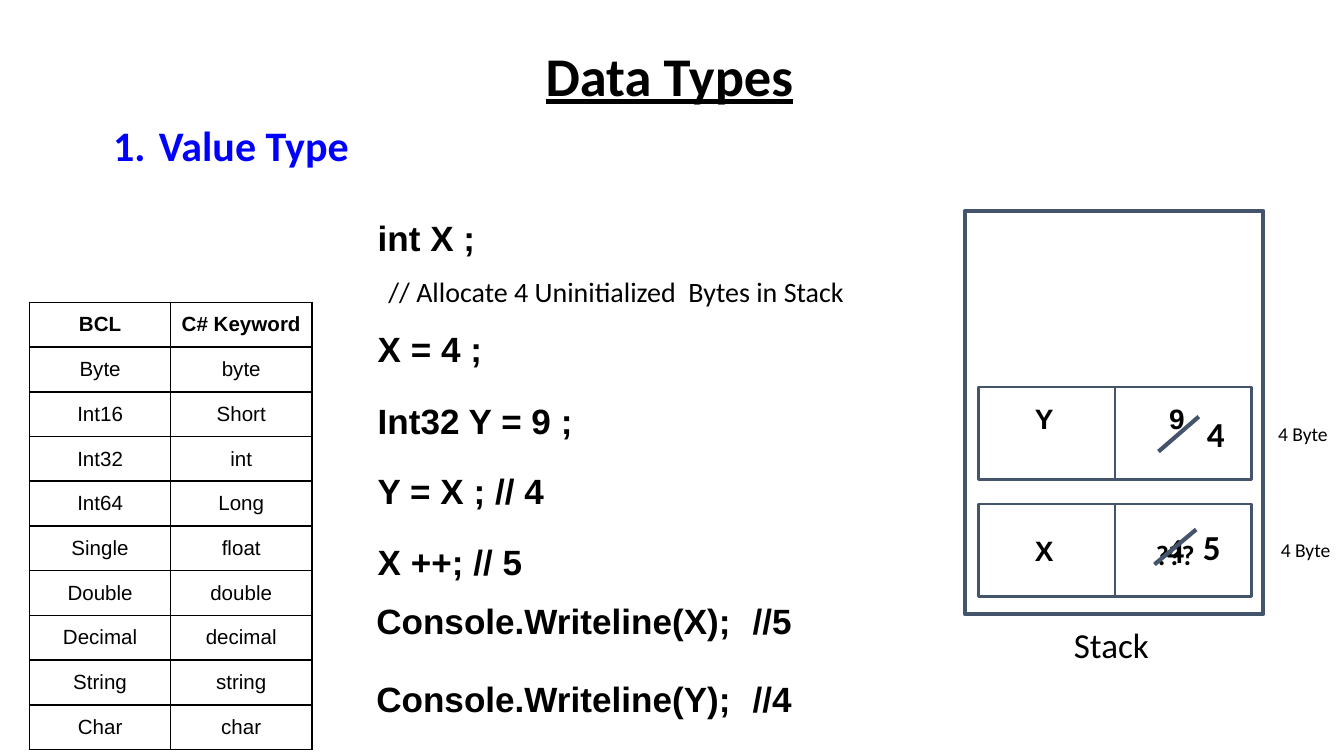
from lxml import etree
from pptx import Presentation
from pptx.dml.color import RGBColor
from pptx.enum.shapes import MSO_CONNECTOR, MSO_SHAPE
from pptx.enum.text import MSO_ANCHOR, MSO_AUTO_SIZE, PP_ALIGN
from pptx.oxml.ns import qn
from pptx.util import Inches, Pt

BLACK = RGBColor(0x00, 0x00, 0x00)
BLUE = RGBColor(0x00, 0x00, 0xFF)
SLATE = RGBColor(0x44, 0x54, 0x6A)
RECTANGLE = MSO_SHAPE.RECTANGLE
STRAIGHT = MSO_CONNECTOR.STRAIGHT
MIDDLE = MSO_ANCHOR.MIDDLE
CENTER = PP_ALIGN.CENTER
LEFT = PP_ALIGN.LEFT
FIT_TEXT = MSO_AUTO_SIZE.SHAPE_TO_FIT_TEXT
TOP_SITE, BOTTOM_SITE = 0, 2
MARGIN = 0.07
CELL_LEFT, CELL_WIDTH, CELL_HEIGHT = 7.28, 2.03, 0.69

TYPE_ROWS = [
    ("BCL", "C# Keyword"),
    ("Byte", "byte"),
    ("Int16", "Short"),
    ("Int32", "int"),
    ("Int64", "Long"),
    ("Single", "float"),
    ("Double", "double"),
    ("Decimal", "decimal"),
    ("String", "string"),
    ("Char", "char"),
]

# left, top, width, text
CODE_LINES = [
    (2.74, 1.54, 0.95, "int X ;"),
    (2.74, 2.37, 0.95, "X = 4 ;"),
    (2.74, 2.90, 1.78, "Int32 Y = 9 ;"),
    (2.74, 3.42, 1.78, "Y = X ; // 4"),
    (2.74, 3.95, 1.78, "X ++; // 5"),
    (2.73, 4.39, 2.87, "Console.Writeline(X);"),
    (2.73, 4.97, 2.93, "Console.Writeline(Y);"),
    (5.53, 4.39, 0.53, "//5"),
    (5.53, 4.97, 0.53, "//4"),
]


def add_run(paragraph, text, size, font="Calibri", bold=False, color=BLACK):
    run = paragraph.add_run()
    run.text = text
    run.font.size = Pt(size)
    run.font.name = font
    run.font.bold = bold
    run.font.color.rgb = color
    return run


def set_margins(target):
    """Give a text frame or a table cell the same margin on all sides."""
    target.margin_left = target.margin_right = Inches(MARGIN)
    target.margin_top = target.margin_bottom = Inches(MARGIN)


def add_label(slide, left, top, width, height, text, size, **style):
    """Add a one-line text box and return its run and paragraph."""
    box = slide.shapes.add_textbox(
        Inches(left), Inches(top), Inches(width), Inches(height))
    frame = box.text_frame
    frame.word_wrap = True
    frame.auto_size = FIT_TEXT
    set_margins(frame)
    paragraph = frame.paragraphs[0]
    return add_run(paragraph, text, size, **style), paragraph


def number_paragraph(paragraph):
    properties = paragraph._p.get_or_add_pPr()
    properties.set("marL", str(Inches(0.38)))
    properties.set("indent", str(Inches(-0.34)))
    color = etree.SubElement(properties, qn("a:buClr"))
    etree.SubElement(color, qn("a:srgbClr"), val=str(BLUE))
    etree.SubElement(properties, qn("a:buFont"), typeface="+mj-lt")
    etree.SubElement(properties, qn("a:buAutoNum"), type="arabicPeriod")


def add_outline(slide, left, top, width, height, weight):
    shape = slide.shapes.add_shape(
        RECTANGLE, Inches(left), Inches(top), Inches(width), Inches(height))
    shape.shadow.inherit = False
    shape.fill.background()
    shape.line.color.rgb = SLATE
    shape.line.width = Pt(weight)
    return shape


def add_line(slide, start, end, weight):
    x1, y1, x2, y2 = (Inches(value) for value in (*start, *end))
    line = slide.shapes.add_connector(STRAIGHT, x1, y1, x2, y2)
    line.line.color.rgb = SLATE
    line.line.width = Pt(weight)
    etree.SubElement(line._element.spPr, qn("a:effectLst"))
    return line


def add_variable(slide, top, text, bottom_margin=MARGIN):
    """Add a stack cell split into name and value; a tab leads to the value."""
    cell = add_outline(slide, CELL_LEFT, top, CELL_WIDTH, CELL_HEIGHT, 1.5)
    frame = cell.text_frame
    set_margins(frame)
    frame.margin_left = Inches(0.42)
    frame.margin_bottom = Inches(bottom_margin)
    frame.vertical_anchor = MIDDLE
    paragraph = frame.paragraphs[0]
    paragraph.alignment = LEFT
    tabs = etree.SubElement(paragraph._p.get_or_add_pPr(), qn("a:tabLst"))
    etree.SubElement(tabs, qn("a:tab"), pos=str(Inches(1)), algn="l")
    add_run(paragraph, text, 15, "Arial", True)

    middle = CELL_LEFT + CELL_WIDTH / 2
    divider = add_line(slide, (middle, top), (middle, top + CELL_HEIGHT), 0.75)
    divider.begin_connect(cell, TOP_SITE)
    divider.end_connect(cell, BOTTOM_SITE)


def add_cell_borders(cell):
    properties = cell._tc.get_or_add_tcPr()
    for position, side in enumerate(("lnL", "lnR", "lnT", "lnB")):
        border = etree.Element(qn(f"a:{side}"), w=str(Pt(1)))
        fill = etree.SubElement(border, qn("a:solidFill"))
        etree.SubElement(fill, qn("a:srgbClr"), val=str(BLACK))
        properties.insert(position, border)


def add_type_table(slide):
    row_height = 3.33 / len(TYPE_ROWS)
    table = slide.shapes.add_table(
        len(TYPE_ROWS), 2, Inches(0.22), Inches(2.25),
        Inches(2.1), Inches(3.33)).table
    for row_index, names in enumerate(TYPE_ROWS):
        table.rows[row_index].height = Inches(row_height)
        for column_index, name in enumerate(names):
            cell = table.cell(row_index, column_index)
            cell.fill.background()
            cell.vertical_anchor = MIDDLE
            set_margins(cell)
            add_cell_borders(cell)
            paragraph = cell.text_frame.paragraphs[0]
            paragraph.alignment = CENTER
            add_run(paragraph, name, 11, "Arial", row_index == 0)


def add_headings(slide):
    _, paragraph = add_label(slide, 0.46, 0.82, 2.55, 0.53, "Value Type ",
                             22.5, bold=True, color=BLUE)
    paragraph.alignment = CENTER
    number_paragraph(paragraph)
    title, _ = add_label(slide, 3.99, 0.24, 2.03, 0.64, "Data Types",
                         29.2, bold=True)
    title.font.underline = True


def add_code(slide):
    for left, top, width, text in CODE_LINES:
        add_label(slide, left, top, width, 0.47, text, 18.8,
                  font="Arial", bold=True)
    add_label(slide, 2.82, 1.97, 3.6, 0.4,
              "// Allocate 4 Uninitialized  Bytes in Stack", 15)


def add_stack(slide):
    add_outline(slide, 7.18, 1.57, 2.22, 3, 2.25)
    add_label(slide, 7.92, 4.57, 0.75, 0.47, "Stack", 18.8)

    add_variable(slide, 3.75, "X")
    add_label(slide, 8.53, 3.93, 0.53, 0.4, "???", 15, bold=True)
    add_label(slide, 8.61, 3.86, 0.53, 0.47, "4", 18.8, bold=True)
    add_line(slide, (8.9, 3.94), (8.59, 4.2), 2.25)
    add_label(slide, 8.88, 3.84, 0.53, 0.47, "5", 18.8, bold=True)
    add_label(slide, 9.46, 3.93, 0.75, 0.33, "4 Byte", 10.5)

    add_variable(slide, 2.88, "Y\t9", bottom_margin=0.3)
    add_line(slide, (8.92, 3.1), (8.62, 3.36), 2.25)
    add_label(slide, 8.91, 3, 0.53, 0.47, "4", 18.8, bold=True)
    add_label(slide, 9.44, 3.07, 0.75, 0.33, "4 Byte", 10.5)


def main():
    presentation = Presentation()
    presentation.slide_width = Inches(10)
    presentation.slide_height = Inches(10 * 9 / 16)
    slide = presentation.slides.add_slide(presentation.slide_layouts[6])
    add_headings(slide)
    add_type_table(slide)
    add_code(slide)
    add_stack(slide)
    presentation.save("out.pptx")


if __name__ == "__main__":
    main()
